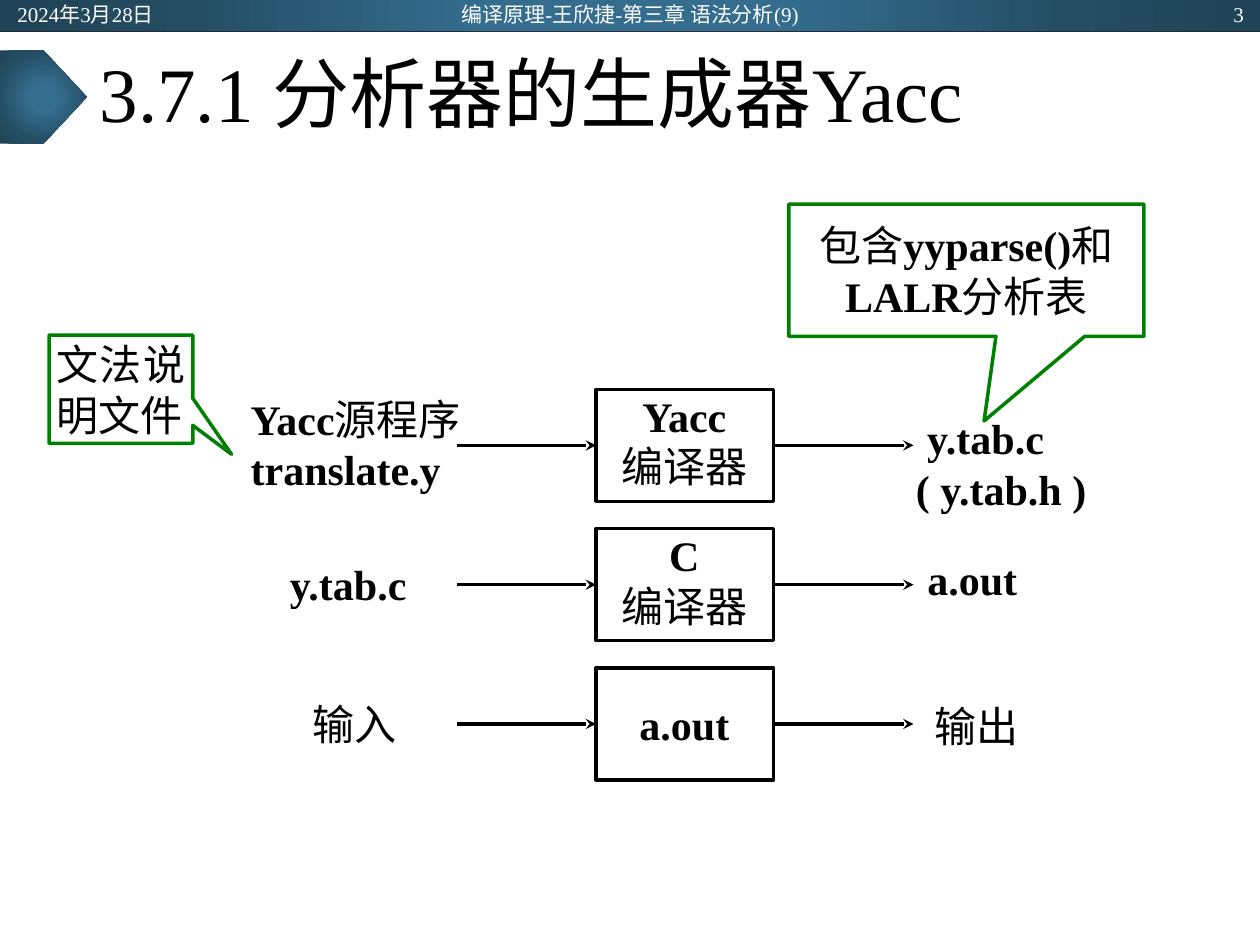
from itertools import groupby

from lxml import etree
from pptx import Presentation
from pptx.dml.color import RGBColor
from pptx.enum import shapes, text
from pptx.oxml import ns
from pptx.util import Pt

LEFT, CENTER, RIGHT, JUSTIFY = (text.PP_ALIGN.LEFT, text.PP_ALIGN.CENTER,
                                text.PP_ALIGN.RIGHT, text.PP_ALIGN.JUSTIFY)
TOP, MIDDLE = text.MSO_ANCHOR.TOP, text.MSO_ANCHOR.MIDDLE
LABEL_INSETS = (6.5, 2.2, 7.2, 3.6)
CALLOUT_INSETS = (4.3, 2.2, 4.3, 2.2)


def rgb(value):
    return RGBColor.from_string(value)


def add_element(parent, tag, **attrs):
    return etree.SubElement(parent, ns.qn(tag), attrs)


class Deck:
    latin = "Times New Roman"
    cjk = "Noto Sans CJK SC"
    black = "000000"
    white = "FFFFFF"
    green = "008000"
    bar_edge = "222A35"
    glow = ((0, "346D8E"), (23, "346D8E"), (69, "254E64"), (97, "204457"))

    def __init__(self):
        self.prs = Presentation()
        self.prs.slide_width, self.prs.slide_height = Pt(720), Pt(540)
        self.s = self.prs.slides.add_slide(self.prs.slide_layouts[5])

    def style_run(self, r, size, color, bold=False):
        r.font.size, r.font.bold = Pt(size), bold
        r.font.name = self.latin
        r.font.color.rgb = rgb(color)
        add_element(r.font._element, "a:ea", typeface=self.cjk)

    def frame(self, sp, insets, anchor, wrap=True):
        tf = sp.text_frame
        tf.word_wrap, tf.vertical_anchor = wrap, anchor
        tf.margin_left, tf.margin_top, tf.margin_right, tf.margin_bottom = map(Pt, insets)
        return tf

    def put_text(self, sp, lines, align, insets, anchor=TOP, wrap=True):
        tf = self.frame(sp, insets, anchor, wrap)
        for i, line in enumerate(lines):
            p = tf.add_paragraph() if i else tf.paragraphs[0]
            p.alignment = align
            for is_latin, chars in groupby(line, str.isascii):
                r = p.add_run()
                r.text = "".join(chars)
                self.style_run(r, 24, self.black, is_latin)

    def title(self, words, box):
        sp = self.s.shapes.title
        sp.left, sp.top, sp.width, sp.height = map(Pt, box)
        tf = self.frame(sp, (7.2, 3.6, 7.2, 3.6), MIDDLE)
        tf.auto_size = text.MSO_AUTO_SIZE.NONE
        tf.text = words
        p = tf.paragraphs[0]
        p.alignment, p.line_spacing = LEFT, 0.9
        self.style_run(p.runs[0], 44, self.black)

    def header(self, words, left, width, align):
        sp = self.s.shapes.add_textbox(Pt(left), Pt(0.7), Pt(width), Pt(14.4))
        tf = self.frame(sp, (7.2, 3.6, 7.2, 3.6), MIDDLE)
        tf.text = words
        tf.paragraphs[0].alignment = align
        self.style_run(tf.paragraphs[0].runs[0], 12, self.white)

    def shape(self, kind, box):
        sp = self.s.shapes.add_shape(kind, *map(Pt, box))
        sp.shadow.inherit = False
        return sp

    def glowing(self, kind, box):
        sp = self.shape(kind, box)
        sp.line.fill.background()
        sp.fill.gradient()
        grad = sp._element.spPr.find(ns.qn("a:gradFill"))
        for child in list(grad):
            grad.remove(child)
        stops = add_element(grad, "a:gsLst")
        for pos, color in self.glow:
            stop = add_element(stops, "a:gs", pos=str(pos * 1000))
            add_element(stop, "a:srgbClr", val=color)
        circle = add_element(grad, "a:path", path="circle")
        add_element(circle, "a:fillToRect", l="50000", t="50000", r="50000", b="50000")

    def outlined(self, kind, box, color):
        sp = self.shape(kind, box)
        sp.fill.background()
        sp.line.color.rgb = rgb(color)
        sp.line.width = Pt(2)
        return sp

    def stage(self, lines, box, top_inset):
        sp = self.outlined(shapes.MSO_SHAPE.RECTANGLE, box, self.black)
        self.put_text(sp, lines, CENTER, (6.5, top_inset, 7.2, 0.7))
        return sp

    def callout(self, words, box, tip, align, anchor):
        sp = self.outlined(shapes.MSO_SHAPE.RECTANGULAR_CALLOUT, box, self.green)
        sp.adjustments[0], sp.adjustments[1] = tip
        self.put_text(sp, [words], align, CALLOUT_INSETS, anchor)

    def label(self, lines, box, insets=LABEL_INSETS, wrap=True):
        sp = self.s.shapes.add_textbox(*map(Pt, box))
        self.put_text(sp, lines, JUSTIFY, insets, wrap=wrap)

    def line(self, start, end, color, width):
        c = self.s.shapes.add_connector(shapes.MSO_CONNECTOR.STRAIGHT, *map(Pt, start + end))
        c.line.color.rgb = rgb(color)
        c.line.width = Pt(width)
        add_element(c._element.spPr, "a:effectLst")
        return c

    def arrow(self, start, end):
        c = self.line(start, end, self.black, 2)
        add_element(c._element.spPr.find(ns.qn("a:ln")), "a:tailEnd", type="stealth")
        return c


def main():
    deck = Deck()
    deck.glowing(shapes.MSO_SHAPE.RECTANGLE, (0, 0, 720, 18))
    deck.line((0, 18), (720, 18), deck.bar_edge, 0.5)
    deck.glowing(shapes.MSO_SHAPE.PENTAGON, (0, 28.8, 49.7, 53.3))
    deck.title("3.7.1 分析器的生成器Yacc", (49.7, 18, 620.6, 75))

    box_left, box_width, box_height = 340.6, 101.5, 64
    first_top, row_step = 222.5, 79.6
    arrow_left, arrow_right = 261.4, 522
    rows = [
        (["Yacc", "编译器"], 0.7, ["Yacc源程序", "translate.y"], (136.8, 222.5, 144, 66.2),
         ["y.tab.c"], (523.4, 233.3, 113, 36.7)),
        (["C", "编译器"], 0.7, ["y.tab.c"], (159.1, 316.8, 102.2, 35.3),
         ["a.out"], (523.4, 313.9, 107.3, 34.6)),
        (["a.out"], 17.3, ["输入"], (172.1, 396.7, 95.8, 35.3),
         ["输出"], (527.8, 398.2, 89.3, 33.8)),
    ]
    for i, (name, inset, source, source_box, result, result_box) in enumerate(rows):
        top = first_top + i * row_step
        middle = top + box_height / 2
        stage = deck.stage(name, (box_left, top, box_width, box_height), inset)
        deck.arrow((arrow_left, middle), (box_left, middle)).end_connect(stage, 1)
        deck.arrow((box_left + box_width, middle), (arrow_right, middle)).begin_connect(stage, 3)
        deck.label(source, source_box)
        deck.label(result, result_box)

    deck.label(["( y.tab.h )"], (519.1, 262.8, 107.3, 33.8), CALLOUT_INSETS, wrap=False)
    deck.callout("包含yyparse()和LALR分析表", (450.7, 116.6, 203, 75.6),
                 (0.05, 1.14), CENTER, MIDDLE)
    deck.callout("文法说明文件", (28.1, 191.5, 82.1, 61.9), (0.77, 0.6), JUSTIFY, TOP)

    deck.header("2024年3月28日", 2.9, 162, LEFT)
    deck.header("编译原理-王欣捷-第三章 语法分析(9)", 238.3, 243.4, CENTER)
    deck.header("3", 555.8, 162, RIGHT)
    deck.prs.save("out.pptx")


if __name__ == "__main__":
    main()
